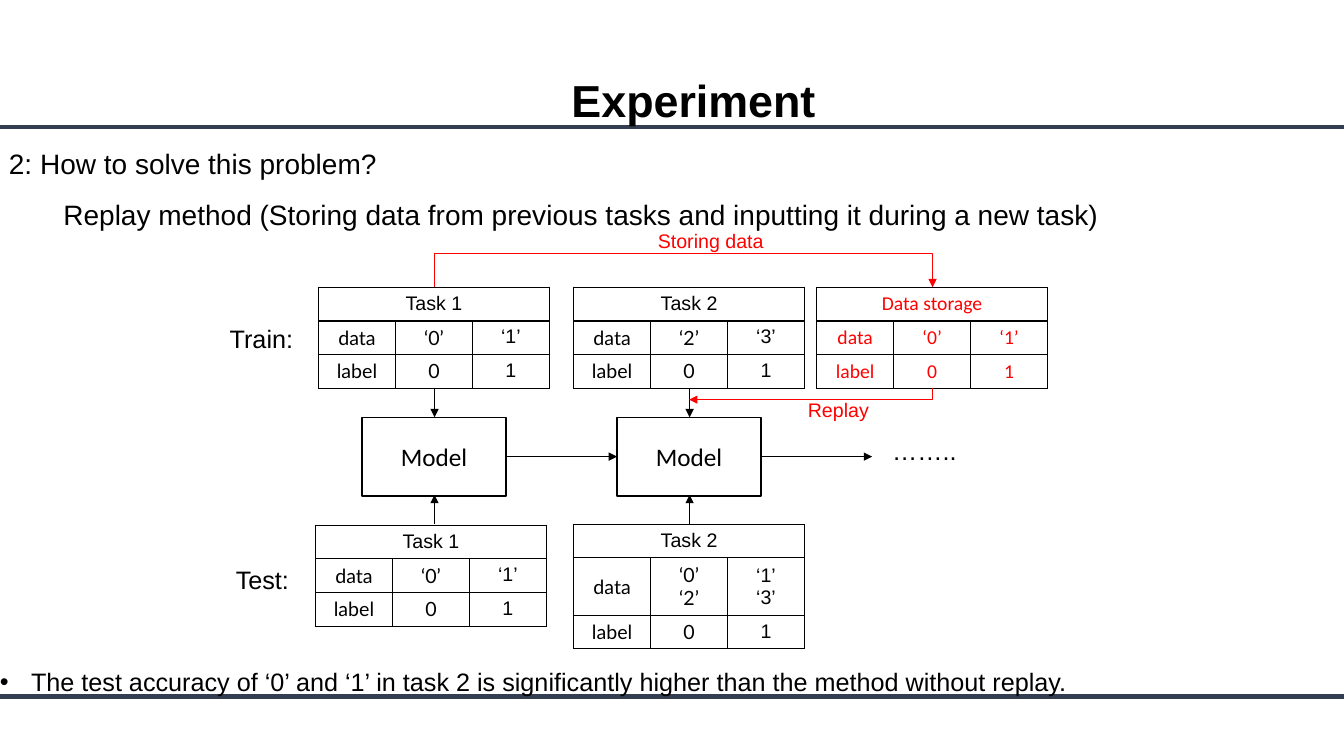
"""Build the replay experiment slide."""
from pptx import Presentation
from pptx.dml.color import RGBColor
from pptx.enum import shapes, text
from pptx.oxml import ns, xmlchemy
from pptx.util import Inches, Pt

BLACK = RGBColor(0, 0, 0)
WHITE = RGBColor(0xFF, 0xFF, 0xFF)
RED = RGBColor(0xFF, 0, 0)
NAVY = RGBColor(0x33, 0x3F, 0x50)
CENTER = text.PP_ALIGN.CENTER
TOP, MIDDLE = text.MSO_ANCHOR.TOP, text.MSO_ANCHOR.MIDDLE


def write(tf, content, **fmt):
    """Fill a text frame, one paragraph per line, with shared formatting."""
    for i, line in enumerate(content.split("\n")):
        p = tf.paragraphs[0] if i == 0 else tf.add_paragraph()
        p.alignment = fmt.get("align")
        p.line_spacing = fmt.get("spacing")
        r = p.add_run()
        r.text = line
        r.font.color.rgb = fmt.get("color", BLACK)
        for name, value in {"name": fmt.get("font", "Arial"), "size": Pt(fmt["size"]),
                            "bold": fmt.get("bold", False)}.items():
            setattr(r.font, name, value)


def connect(x1, y1, x2, y2, color=BLACK, width=0.5, end=None, preset="line", rot=0):
    """Draw a line, with an arrowhead at its end when one is named."""
    c = s.shapes.add_connector(shapes.MSO_CONNECTOR.STRAIGHT, *map(Inches, (x1, y1, x2, y2)))
    c.line.color.rgb = color
    c.line.width = Pt(width)
    props = c._element.spPr
    props.find(ns.qn("a:prstGeom")).set("prst", preset)
    if rot:
        props.find(ns.qn("a:xfrm")).set("rot", str(rot * 60000))
    if end:
        head = xmlchemy.OxmlElement("a:tailEnd")
        head.set("type", end)
        props.find(ns.qn("a:ln")).append(head)
    props.append(xmlchemy.OxmlElement("a:effectLst"))


prs = Presentation()
prs.slide_width, prs.slide_height = Inches(13.33), Inches(7.5)
s = prs.slides.add_slide(prs.slide_layouts[6])

for y in (6.91, 1.26):
    connect(0, y, 13.33, y, NAVY, 3)

labels = [
    (5.57, 0.41, 2.94, 0.81, "Experiment", {"size": 32, "bold": True, "spacing": 1.5}),
    (-0.01, 1.24, 13.33, 1.05,
     "2: How to solve this problem?\n"
     "Replay method (Storing data from previous tasks and inputting it during a new task)",
     {"size": 20, "spacing": 1.5}),
    (2.18, 3.16, 0.87, 0.4, "Train:", {"size": 18}),
    (2.24, 5.55, 0.87, 0.4, "Test:", {"size": 18}),
    (8.75, 4.27, 1.09, 0.4, "……..", {"size": 18}),
    (7.77, 3.9, 1.09, 0.34, "Replay", {"size": 14, "color": RED, "align": CENTER}),
    (6.32, 2.22, 1.46, 0.34, "Storing data", {"size": 14, "color": RED, "align": CENTER}),
    (-0.1, 6.41, 12.26, 0.5,
     "The test accuracy of ‘0’ and ‘1’ in task 2 is significantly higher "
     "than the method without replay.", {"size": 18, "spacing": 1.5}),
]
frames = {}
for x, y, w, h, content, fmt in labels:
    tf = s.shapes.add_textbox(*map(Inches, (x, y, w, h))).text_frame
    tf.word_wrap = True
    write(tf, content, **fmt)
    frames[content.split()[0]] = tf

frames["2:"].paragraphs[1]._p.get_or_add_pPr().set("marL", str(Inches(0.54)))
pPr = frames["The"].paragraphs[0]._p.get_or_add_pPr()
pPr.set("marL", str(Inches(0.31)))
pPr.set("indent", str(Inches(-0.31)))
for tag, key, value in (("a:buFont", "typeface", "Arial"), ("a:buChar", "char", "•")):
    bullet = xmlchemy.OxmlElement(tag)
    bullet.set(key, value)
    pPr.append(bullet)

ROW, COL = 1 / 3, 2.29 / 3
TASK_FONTS = ("Lato", "Lato", "Arial")
tables = [
    (3.16, 2.85, "Task 1", "‘0’", "‘1’", ROW, TOP, BLACK, "Arial", TASK_FONTS),
    (5.69, 2.85, "Task 2", "‘2’", "‘3’", ROW, TOP, BLACK, "Arial", TASK_FONTS),
    (3.13, 5.21, "Task 1", "‘0’", "‘1’", ROW, TOP, BLACK, "Arial", TASK_FONTS),
    (5.69, 5.2, "Task 2", "‘0’\n‘2’", "‘1’\n‘3’", 0.57, MIDDLE, BLACK, "Arial", TASK_FONTS),
    (8.1, 2.85, "Data storage", "‘0’", "‘1’", ROW, TOP, RED, "Calibri", ("Calibri",) * 3),
]
for x, y, title, first, second, data_row, anchor, color, title_font, fonts in tables:
    heights = (ROW, data_row, ROW)
    t = s.shapes.add_table(3, 3, *map(Inches, (x, y, 3 * COL, sum(heights)))).table
    t.first_row = t.horz_banding = False
    for row, h in zip(t.rows, heights):
        row.height = Inches(h)
    for col in t.columns:
        col.width = Inches(COL)
    t.cell(0, 0).merge(t.cell(0, 2))
    rows = ((title,), ("data", first, second), ("label", "0", "1"))
    for i, row in enumerate(rows):
        for j, content in enumerate(row):
            write(t.cell(i, j).text_frame, content, size=14, color=color, align=CENTER,
                  font=fonts[j] if i else title_font)
    for cell in t.iter_cells():
        cell.vertical_anchor = anchor
        cell.fill.solid()
        cell.fill.fore_color.rgb = WHITE
        tcPr = cell._tc.get_or_add_tcPr()
        for k, side in enumerate(("a:lnL", "a:lnR", "a:lnT", "a:lnB")):
            ln = xmlchemy.OxmlElement(side)
            ln.set("w", str(Pt(1)))
            solid = xmlchemy.OxmlElement("a:solidFill")
            rgb = xmlchemy.OxmlElement("a:srgbClr")
            rgb.set("val", str(BLACK))
            solid.append(rgb)
            ln.append(solid)
            tcPr.insert(k, ln)

for x in (3.59, 6.12):
    sp = s.shapes.add_shape(shapes.MSO_SHAPE.RECTANGLE, *map(Inches, (x, 4.14, 1.43, 0.78)))
    sp.shadow.inherit = False
    sp.fill.background()
    sp.line.color.rgb = BLACK
    sp.line.width = Pt(1)
    sp.text_frame.vertical_anchor = MIDDLE
    write(sp.text_frame, "Model", size=18, font="Calibri", align=CENTER)
    mid = x + 0.72
    connect(mid, 3.85, mid, 4.14, end="triangle")
    connect(mid, 5.2, mid, 4.91, end="triangle")
    connect(x + 1.43, 4.53, x + 2.53, 4.53, end="triangle")

connect(4.31, 2.85, 4.31, 2.51, RED)
connect(4.31, 2.51, 9.25, 2.85, RED, end="triangle", preset="bentConnector2")
connect(7.98, 2.7, 8.1, 5.11, RED, end="triangle", preset="bentConnector2", rot=90)

prs.save("out.pptx")
